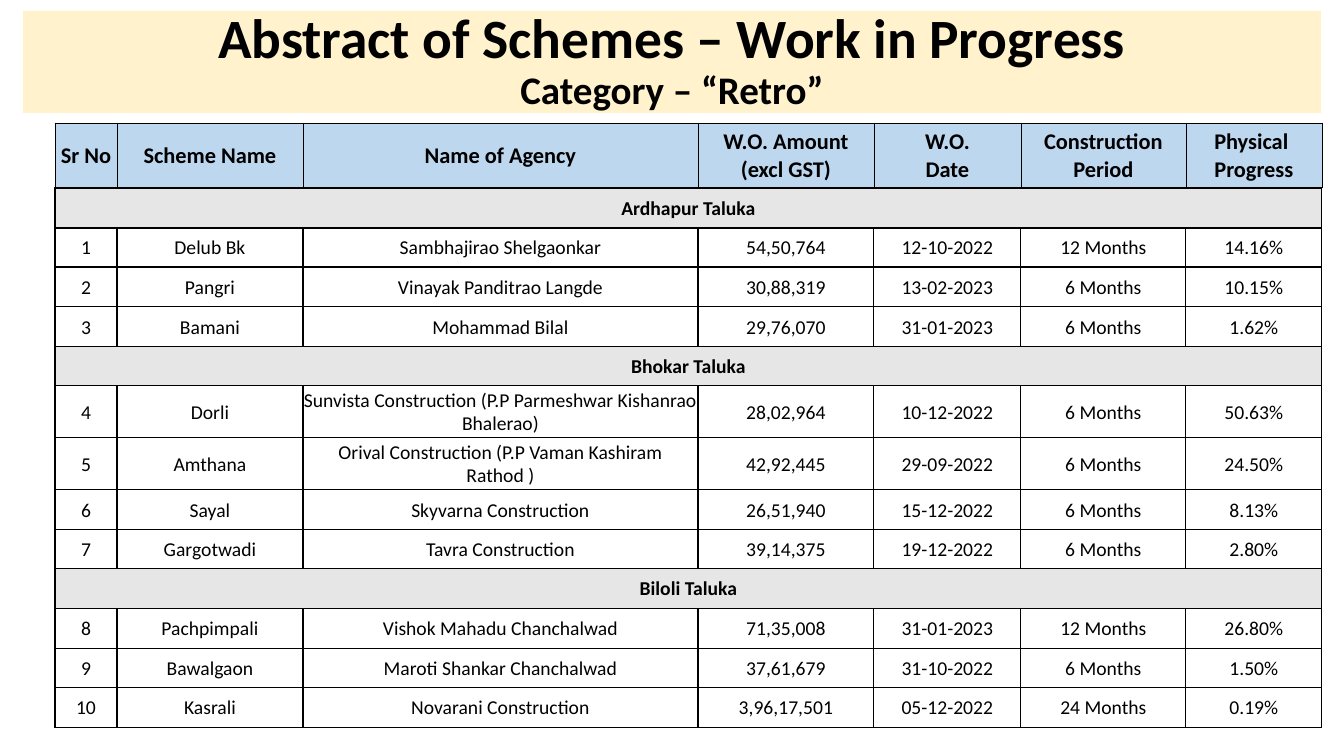
"""Build the slide listing retro schemes with work in progress."""
from lxml import etree
from pptx import Presentation
from pptx import util as u
from pptx.dml.color import RGBColor
from pptx.enum import text
from pptx.oxml.ns import qn

PX = 914400 / 100.8
COLORS = {"banner": "FFF2CC", "header": "BDD7EE", "taluka": "E7E6E6",
          "scheme": "FFFFFF", "ink": "000000"}


def write(frame, content, sizes, bold=False, spacing=None):
    frame.text = content
    for paragraph in frame.paragraphs:
        paragraph.alignment = text.PP_ALIGN.CENTER
        paragraph.line_spacing = spacing
        for i, run in enumerate(paragraph.runs):
            run.font.name = "Calibri"
            run.font.size = u.Pt(sizes[min(i, len(sizes) - 1)])
            run.font.bold = bold
            run.font.color.rgb = RGBColor.from_string(COLORS["ink"])
        for line_break in paragraph._p.findall(qn("a:br")):
            etree.SubElement(line_break, qn("a:rPr"), sz=str(round(sizes[0] * 100)))


def format_cell(cell, fill, line_width):
    cell.vertical_anchor = text.MSO_ANCHOR.MIDDLE
    cell.margin_left = cell.margin_right = cell.margin_top = int(PX)
    cell.margin_bottom = 0
    properties = cell._tc.get_or_add_tcPr()
    for side in "LRTB":
        line = etree.SubElement(properties, qn(f"a:ln{side}"), w=str(u.Pt(line_width)))
        ink = etree.SubElement(line, qn("a:solidFill"))
        etree.SubElement(ink, qn("a:srgbClr"), val=COLORS["ink"])
    cell.fill.solid()
    cell.fill.fore_color.rgb = RGBColor.from_string(COLORS[fill])


prs = Presentation()
prs.slide_width, prs.slide_height = round(1344 * PX), round(756 * PX)
slide = prs.slides.add_slide(prs.slide_layouts[5])

banner = slide.shapes.title
banner.left, banner.top, banner.width, banner.height = (
    round(n * PX) for n in (23, 11, 1298, 102))
banner.fill.solid()
banner.fill.fore_color.rgb = RGBColor.from_string(COLORS["banner"])
banner.text_frame.auto_size = text.MSO_AUTO_SIZE.NONE
banner.text_frame.vertical_anchor = text.MSO_ANCHOR.MIDDLE
write(banner.text_frame, "Abstract of Schemes – Work in Progress\vCategory – “Retro”",
      sizes=(39.6, 27.9), bold=True, spacing=0.9)

HEADINGS = [("Sr No", "Scheme Name", "Name of Agency", "W.O. Amount\v(excl GST)",
             "W.O.\vDate", "Construction\vPeriod", "Physical \nProgress")]
SCHEMES = [
    ("Ardhapur Taluka",),
    ("1", "Delub Bk", "Sambhajirao Shelgaonkar", "54,50,764", "12-10-2022", "12 Months", "14.16%"),
    ("2", "Pangri", "Vinayak Panditrao Langde", "30,88,319", "13-02-2023", "6 Months", "10.15%"),
    ("3", "Bamani", "Mohammad Bilal", "29,76,070", "31-01-2023", "6 Months", "1.62%"),
    ("Bhokar Taluka",),
    ("4", "Dorli", "Sunvista Construction (P.P Parmeshwar Kishanrao Bhalerao)",
     "28,02,964", "10-12-2022", "6 Months", "50.63%"),
    ("5", "Amthana", "Orival Construction (P.P Vaman Kashiram Rathod )",
     "42,92,445", "29-09-2022", "6 Months", "24.50%"),
    ("6", "Sayal", "Skyvarna Construction", "26,51,940", "15-12-2022", "6 Months", "8.13%"),
    ("7", "Gargotwadi", "Tavra Construction", "39,14,375", "19-12-2022", "6 Months", "2.80%"),
    ("Biloli Taluka",),
    ("8", "Pachpimpali", "Vishok Mahadu Chanchalwad", "71,35,008", "31-01-2023", "12 Months", "26.80%"),
    ("9", "Bawalgaon", "Maroti Shankar Chanchalwad", "37,61,679", "31-10-2022", "6 Months", "1.50%"),
    ("10", "Kasrali", "Novarani Construction", "3,96,17,501", "05-12-2022", "24 Months", "0.19%"),
]
COLUMN_WIDTHS = [62, 186, 395, 176, 147, 165, 136]
SCHEME_HEIGHTS = [40, 39, 40, 40, 39, 52, 52, 40, 39, 40, 40, 39, 40]

for rows, top, heights, size, line_width in [
        (HEADINGS, 123, [65], 16, 0.5), (SCHEMES, 188, SCHEME_HEIGHTS, 14, 1)]:
    box = [round(n * PX) for n in (55, top, sum(COLUMN_WIDTHS), sum(heights))]
    table = slide.shapes.add_table(len(rows), len(COLUMN_WIDTHS), *box).table
    table.first_row = table.horz_banding = False
    for column, width in zip(table.columns, COLUMN_WIDTHS):
        column.width = round(width * PX)
    for r, (entries, height) in enumerate(zip(rows, heights)):
        table.rows[r].height = round(height * PX)
        is_taluka = len(entries) == 1
        kind = "header" if rows is HEADINGS else "taluka" if is_taluka else "scheme"
        for c in range(len(COLUMN_WIDTHS)):
            format_cell(table.cell(r, c), kind, line_width)
        if is_taluka:
            table.cell(r, 0).merge(table.cell(r, len(COLUMN_WIDTHS) - 1))
        for c, entry in enumerate(entries):
            write(table.cell(r, c).text_frame, entry, sizes=(size,), bold=kind != "scheme")

prs.save("out.pptx")
